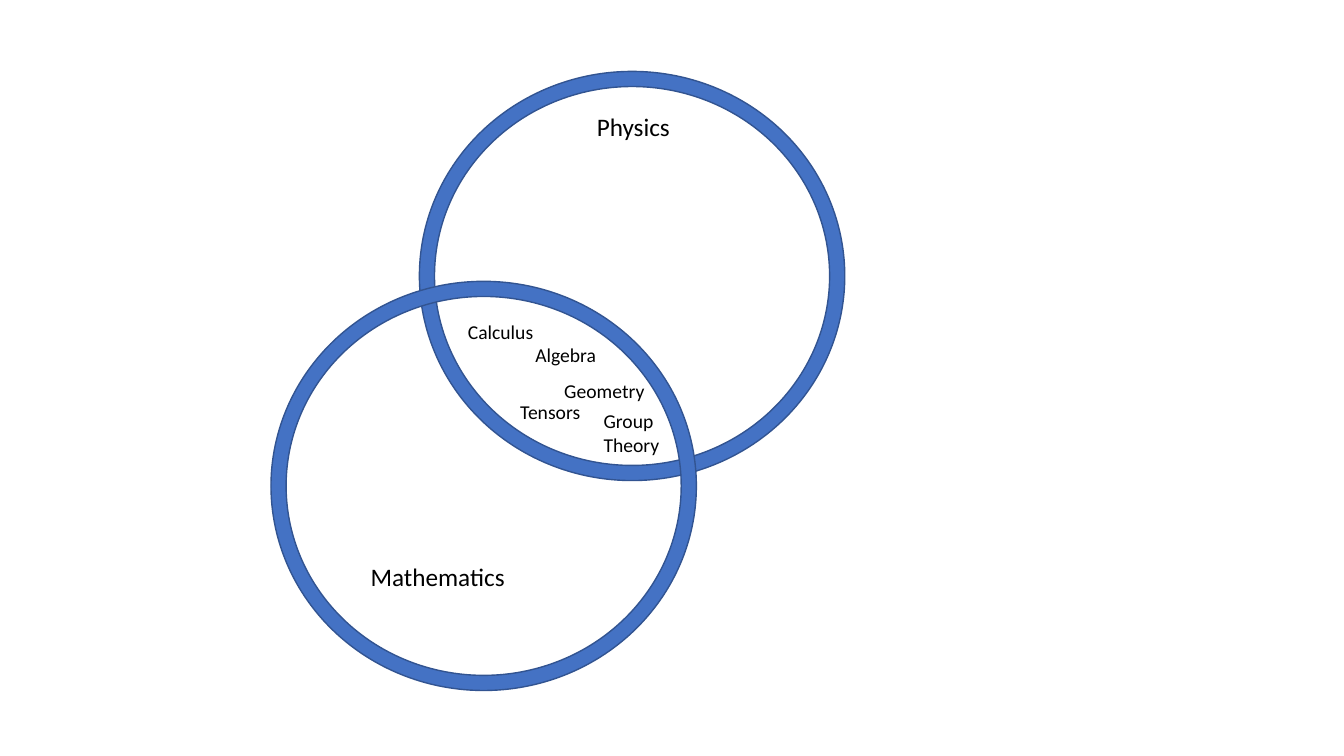
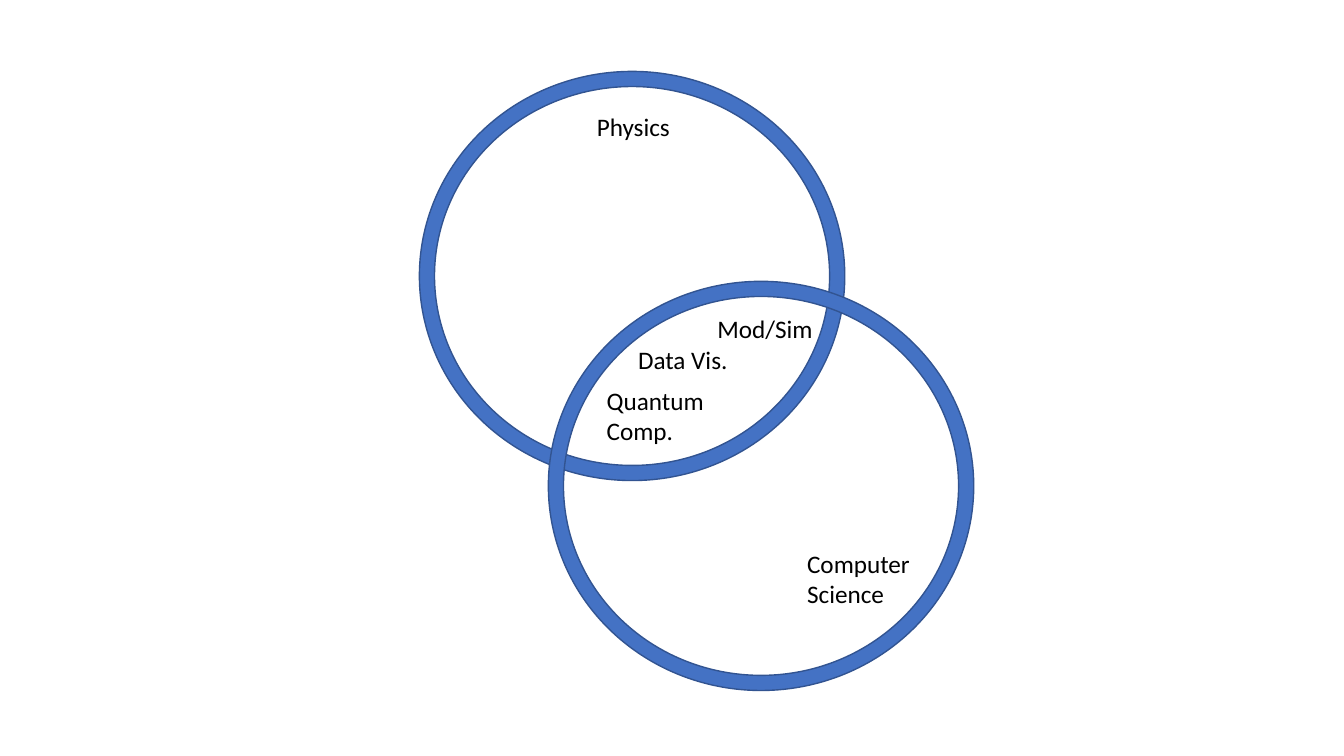
import pptx
import pptx.dml.color
import pptx.enum.shapes
import pptx.enum.text
import pptx.util
from pptx.util import Cm

RING_FILL = "4472C4"
RING_EDGE = "325491"
INK = "000000"
FONT = "Calibri"
FIELD_SIZE = 18
RING_WIDTH, RING_HEIGHT = 10.72, 10.31
UPPER_TOP, LOWER_TOP = 1.8, 7.09
PHYSICS_LEFT = 10.57
FIELD_NAME_WIDTH = 4.88


def color(hex_value):
    """Turn a hex string into a colour."""
    return pptx.dml.color.RGBColor.from_string(hex_value)


def add_label(slide, origin, offset, wording, width, size, lines=1):
    """Place a label at an offset from the corner of its region."""
    left, top = (start + shift for start, shift in zip(origin, offset))
    height = 0.25 + lines * size * 0.043
    label = slide.shapes.add_textbox(Cm(left), Cm(top), Cm(width), Cm(height))
    frame = label.text_frame
    frame.word_wrap = True
    frame.auto_size = pptx.enum.text.MSO_AUTO_SIZE.SHAPE_TO_FIT_TEXT
    frame.text = wording
    font = frame.paragraphs[0].runs[0].font
    font.name = FONT
    font.size = pptx.util.Pt(size)
    font.color.rgb = color(INK)


def add_field(slide, corner, name, offset, lines=1):
    """Draw the ring of one field of study with its name inside."""
    ring = slide.shapes.add_shape(
        pptx.enum.shapes.MSO_SHAPE.DONUT,
        Cm(corner[0]), Cm(corner[1]), Cm(RING_WIDTH), Cm(RING_HEIGHT))
    ring.adjustments[0] = 0.037
    ring.shadow.inherit = False
    ring.fill.solid()
    ring.fill.fore_color.rgb = color(RING_FILL)
    ring.line.color.rgb = color(RING_EDGE)
    ring.line.width = pptx.util.Pt(1)
    add_label(slide, corner, offset, name, FIELD_NAME_WIDTH, FIELD_SIZE, lines)


def add_venn_slide(deck, partner_left, partner, topics, topic_size):
    """Build a slide where physics overlaps a partner field."""
    slide = deck.slides.add_slide(deck.slide_layouts[6])
    add_field(slide, (PHYSICS_LEFT, UPPER_TOP), "Physics", (4.22, 0.89))
    add_field(slide, (partner_left, LOWER_TOP), *partner)
    overlap = (max(PHYSICS_LEFT, partner_left), LOWER_TOP)
    for offset, topic, width, lines in topics:
        add_label(slide, overlap, offset, topic, width, topic_size, lines)


def main():
    """Build and save the deck."""
    deck = pptx.Presentation()
    deck.slide_width, deck.slide_height = Cm(33.87), Cm(19.05)
    math_topics = [
        ((0.97, 0.84), "Calculus", 2.26, 1),
        ((2.67, 1.42), "Algebra", 2.26, 1),
        ((3.4, 2.34), "Geometry", 2.64, 1),
        ((4.39, 3.1), "Group Theory", 2.26, 2),
        ((2.29, 2.87), "Tensors", 2.64, 1),
    ]
    computing_topics = [
        ((4.01, 0.69), "Mod/Sim", 3.18, 1),
        ((2.01, 1.47), "Data Vis.", 3.18, 1),
        ((1.22, 2.49), "Quantum Comp.", 3.1, 2),
    ]
    add_venn_slide(deck, 6.83, ("Mathematics", (2.26, 6.93)), math_topics, 14)
    add_venn_slide(deck, 13.82, ("Computer Science", (6.27, 6.6), 2),
                   computing_topics, 18)
    deck.save("out.pptx")


if __name__ == "__main__":
    main()
